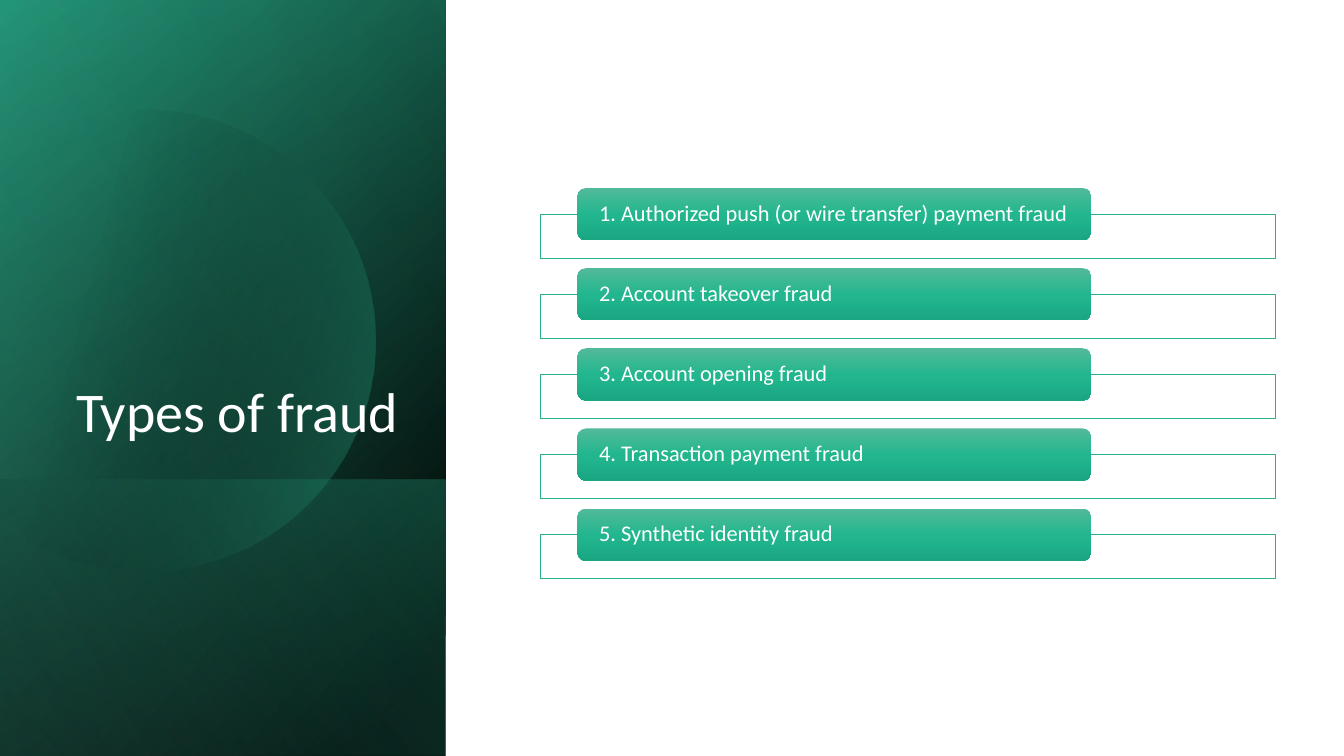
from dataclasses import dataclass
from math import acos, cos, sin

from lxml.etree import SubElement
from pptx import Presentation
from pptx.dml.color import RGBColor
from pptx.enum.shapes import MSO_SHAPE
from pptx.enum.text import MSO_ANCHOR, MSO_AUTO_SIZE, PP_ALIGN
from pptx.oxml.ns import qn
from pptx.util import Inches, Pt

WIDTH, HEIGHT = Inches(13.333), Inches(7.5)
FONT = "Calibri"
COLORS = {
    "white": "FFFFFF", "black": "000000", "green": "29AF8C",
    "deep green": "1F8369", "mint": "70DEC1",
    "button top": "52BA9A", "button middle": "22B68F", "button bottom": "19A782",
}
FRAUD_TYPES = [
    "1. Authorized push (or wire transfer) payment fraud",
    "2. Account takeover fraud",
    "3. Account opening fraud",
    "4. Transaction payment fraud",
    "5. Synthetic identity fraud",
]


@dataclass(frozen=True)
class Box:
    """Position and size in percent of the slide's width and height."""
    left: float
    top: float
    width: float
    height: float

    def lengths(self) -> tuple[int, int, int, int]:
        return (columns(self.left), rows(self.top),
                columns(self.width), rows(self.height))


@dataclass(frozen=True)
class Stop:
    position: int
    color: str
    opacity: int = 100


@dataclass(frozen=True)
class Panel:
    box: Box
    angle: int
    stops: tuple[Stop, ...]


SIDEBAR = Box(0, 0, 33.15, 100)
SIDEBAR_FOOT = Box(0, 63.47, 33.15, 36.53)
TITLE = Box(4.8, 24.53, 25.58, 34.93)
FRAME = Box(40.2, 28.31, 54.68, 5.87)
BUTTON = Box(42.96, 24.87, 38.25, 6.93)
ROW_STEP = 10.6

PANELS = [
    Panel(SIDEBAR, 50, (Stop(8, "black"), Stop(100, "deep green"))),
    Panel(SIDEBAR, 30, (Stop(0, "black", 0), Stop(99, "green", 46))),
    Panel(SIDEBAR_FOOT, 130, (Stop(2, "green", 29), Stop(100, "black", 30))),
]
SHEEN = Panel(SIDEBAR, 120, (Stop(0, "black", 0), Stop(99, "mint", 11)))
DISC_STOPS = (Stop(29, "black", 0), Stop(100, "green", 43))
BUTTON_STOPS = (Stop(0, "button top"), Stop(50, "button middle"),
                Stop(100, "button bottom"))


def columns(share: float) -> int:
    return round(WIDTH * share / 100)


def rows(share: float) -> int:
    return round(HEIGHT * share / 100)


def rgb(name: str) -> RGBColor:
    return RGBColor.from_string(COLORS[name])


def set_opacity(color_element, opacity: int) -> None:
    SubElement(color_element, qn("a:alpha"), val=str(opacity * 1000))


def fill_gradient(shape, stops: tuple[Stop, ...], angle: int) -> None:
    shape.fill.gradient()
    gradient = shape._element.spPr.find(qn("a:gradFill"))
    for child in list(gradient):
        gradient.remove(child)
    gradient.set("rotWithShape", "1")
    stop_list = SubElement(gradient, qn("a:gsLst"))
    for stop in stops:
        entry = SubElement(stop_list, qn("a:gs"), pos=str(stop.position * 1000))
        color = SubElement(entry, qn("a:srgbClr"), val=COLORS[stop.color])
        if stop.opacity < 100:
            set_opacity(color, stop.opacity)
    SubElement(gradient, qn("a:lin"), ang=str(angle * 60000), scaled="0")
    shape.line.fill.background()
    shape.shadow.inherit = False


def write_text(shape, text: str, *, size: int, align=PP_ALIGN.LEFT,
               anchor=MSO_ANCHOR.MIDDLE, color: str = "white") -> None:
    frame = shape.text_frame
    frame.word_wrap = True
    frame.auto_size = MSO_AUTO_SIZE.NONE
    frame.vertical_anchor = anchor
    frame.text = text
    paragraph = frame.paragraphs[0]
    paragraph.alignment = align
    paragraph.line_spacing = 0.9
    paragraph.space_before = Pt(0)
    paragraph.font.name = FONT
    paragraph.font.size = Pt(size)
    paragraph.font.color.rgb = rgb(color)


def add_panel(slide, panel: Panel) -> None:
    """Add a rectangle turned a quarter so that it covers the panel's box."""
    left, top, width, height = panel.box.lengths()
    shift = (height - width) // 2
    shape = slide.shapes.add_shape(MSO_SHAPE.RECTANGLE, left - shift,
                                   top + shift, height, width)
    shape.rotation = 90
    shape._element.spPr.find(qn("a:xfrm")).set("flipH", "1")
    fill_gradient(shape, panel.stops, panel.angle)


def add_disc(slide) -> None:
    """Add a circle cut straight near the slide's left edge."""
    center_x, center_y, radius = columns(10.73), rows(45.07), rows(30.53)
    limit = acos((columns(-1.13) - center_x) / radius)
    steps = 120
    angles = [limit * (2 * step / steps - 1) for step in range(steps + 1)]
    points = [(round(center_x + radius * cos(angle)),
               round(center_y + radius * sin(angle))) for angle in angles]
    builder = slide.shapes.build_freeform(*points[0])
    builder.add_line_segments(points[1:], close=True)
    fill_gradient(builder.convert_to_shape(), DISC_STOPS, 14)


def add_fraud_type(slide, index: int, text: str) -> None:
    offset = rows(index * ROW_STEP)
    left, top, width, height = FRAME.lengths()
    frame = slide.shapes.add_shape(MSO_SHAPE.RECTANGLE, left, top + offset,
                                   width, height)
    frame.shadow.inherit = False
    frame.fill.solid()
    frame.fill.fore_color.rgb = rgb("white")
    set_opacity(frame._element.spPr.find(qn("a:solidFill"))[0], 90)
    frame.line.color.rgb = rgb("green")
    frame.line.width = Pt(0.5)

    left, top, width, height = BUTTON.lengths()
    button = slide.shapes.add_shape(MSO_SHAPE.ROUNDED_RECTANGLE, left,
                                    top + offset, width, height)
    fill_gradient(button, BUTTON_STOPS, 90)
    write_text(button, text, size=16)
    button.text_frame.margin_left = Inches(0.19)
    button.text_frame.margin_right = Inches(0.1)
    button.text_frame.margin_top = button.text_frame.margin_bottom = 0


def main() -> None:
    presentation = Presentation()
    presentation.slide_width, presentation.slide_height = WIDTH, HEIGHT
    slide = presentation.slides.add_slide(presentation.slide_layouts[5])

    # Sidebar background
    for panel in PANELS:
        add_panel(slide, panel)
    add_disc(slide)
    add_panel(slide, SHEEN)

    # Title, brought in front of the sidebar
    title = slide.shapes.title
    title.left, title.top, title.width, title.height = TITLE.lengths()
    write_text(title, "Types of fraud", size=40, align=PP_ALIGN.RIGHT,
               anchor=MSO_ANCHOR.BOTTOM)
    slide.shapes._spTree.append(title._element)

    # List of fraud types
    for index, text in enumerate(FRAUD_TYPES):
        add_fraud_type(slide, index, text)

    presentation.save("out.pptx")


if __name__ == "__main__":
    main()
